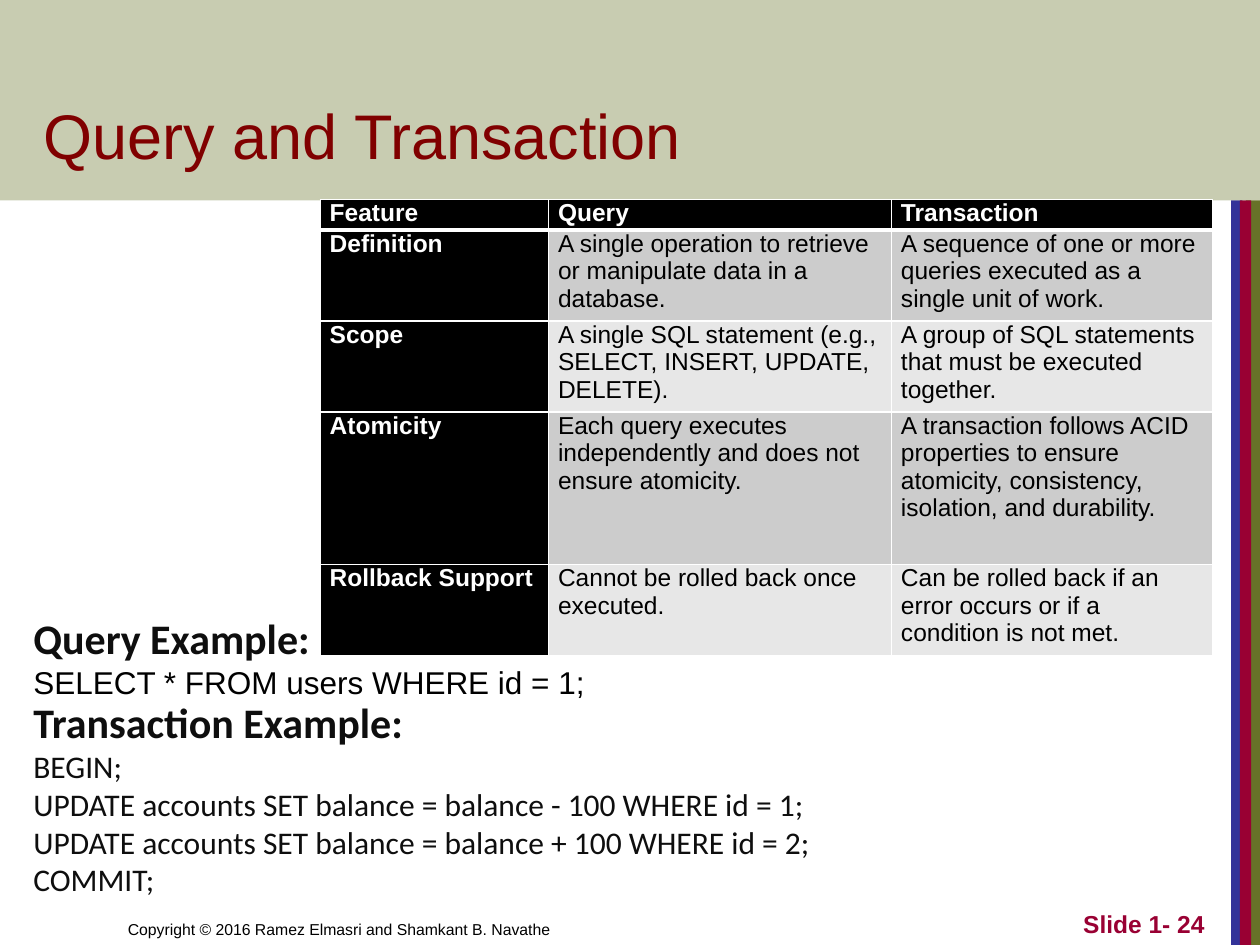
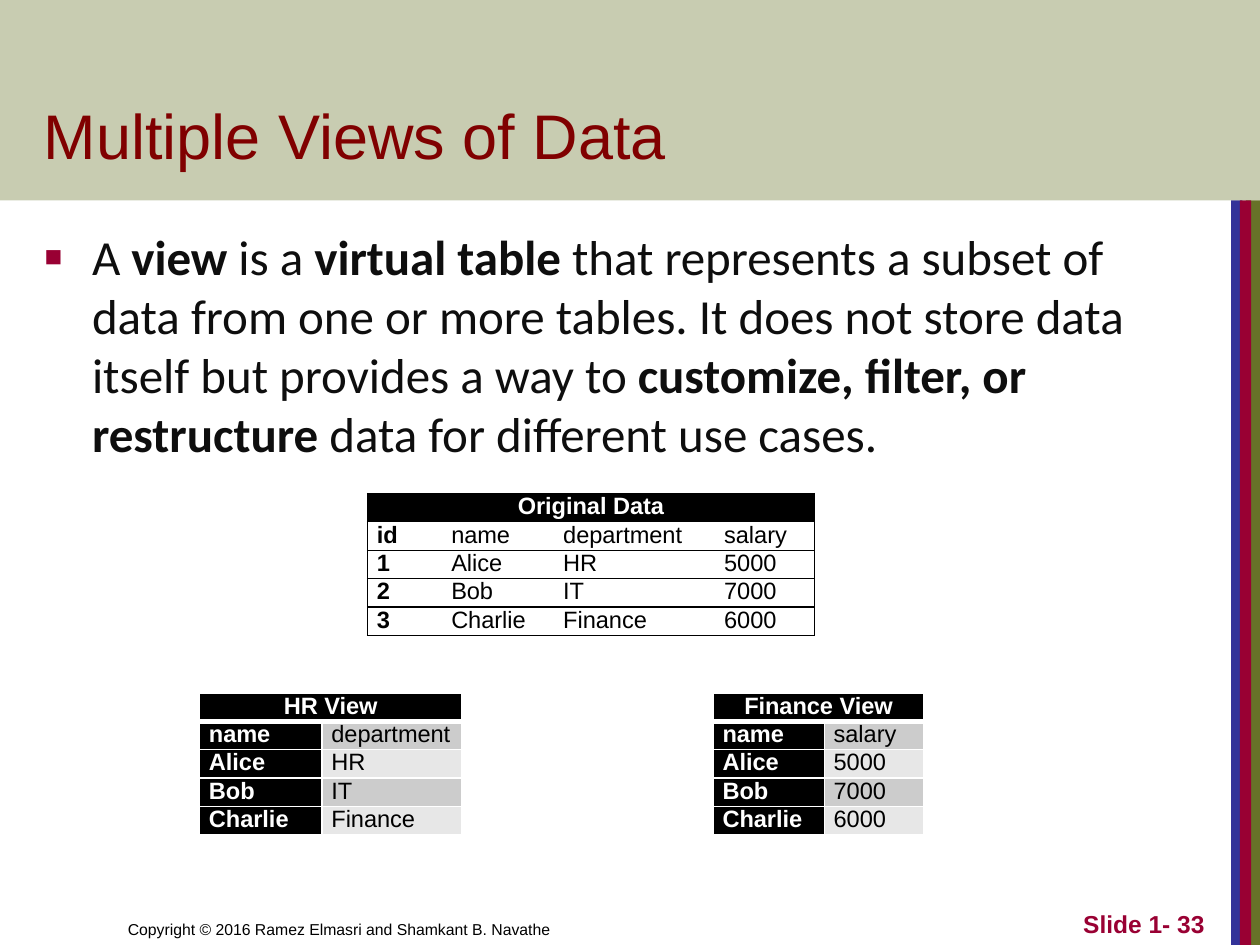
from dataclasses import dataclass
from lxml import etree
from pptx import Presentation
from pptx.dml.color import RGBColor
from pptx.enum.shapes import MSO_SHAPE
from pptx.enum.text import MSO_ANCHOR, PP_ALIGN
from pptx.oxml.ns import qn
from pptx.util import Pt

RECT = MSO_SHAPE.RECTANGLE
TOP, BOTTOM = MSO_ANCHOR.TOP, MSO_ANCHOR.BOTTOM
LEFT, MID, RIGHT = PP_ALIGN.LEFT, PP_ALIGN.CENTER, PP_ALIGN.RIGHT


@dataclass(frozen=True)
class Theme:
    olive: str = "677228"
    blue: str = "333399"
    wine: str = "990033"
    title: str = "800000"
    ink: str = "0E0E0E"
    black: str = "000000"
    white: str = "FFFFFF"
    dark: str = "CCCCCC"
    light: str = "E7E7E7"
    sans: str = "Arial"
    body: str = "Calibri"
    huge: float = 36
    large: float = 28
    head: float = 24
    text: float = 18
    cell: float = 14
    small: float = 13.5
    foot: float = 9


T = Theme()
WIDE, HIGH, BAND = 720, 540, 114.5


def add(parent, tag, **attrs):
    """Append one XML element with its attributes."""
    node = etree.SubElement(parent, qn(tag))
    for key, value in attrs.items():
        node.set(key, str(value))
    return node


def write(para, text, font=T.sans, size=T.text, color=T.black,
          bold=False, align=LEFT):
    """Fill a paragraph; pairs of ** switch bold on and off."""
    para.alignment = align
    for i, part in enumerate(text.split("**")):
        if part:
            run = para.add_run()
            run.text = part
            run.font.name = font
            run.font.size = Pt(size)
            run.font.bold = bold or i % 2 == 1
            run.font.color.rgb = RGBColor.from_string(color)


class Deck:
    def __init__(self, theme):
        self.theme = theme
        self.prs = Presentation()
        self.prs.slide_width, self.prs.slide_height = Pt(WIDE), Pt(HIGH)
        self.slide = None

    def page(self, title, number):
        """Start a slide with stripes, band, title and footers."""
        t = self.theme
        self.slide = self.prs.slides.add_slide(self.prs.slide_layouts[6])
        for x, wide, color in ((712, 8, t.olive), (703.5, 6.5, t.blue),
                               (708.5, 6.5, t.wine)):
            self.block(x, BAND, wide, HIGH - BAND, color)
        self.block(0, 0, WIDE, BAND, t.olive, alpha=36)
        self.box(66, 504, 354, 36, [
            ("Copyright © 2016 Ramez Elmasri and Shamkant B. Navathe",
             dict(size=t.foot))], anchor=BOTTOM)
        self.box(18, 24, 614, 78, [
            (title, dict(size=t.huge, color=t.title))], anchor=BOTTOM)
        self.box(546, 504, 149.5, 36, [
            (f"Slide 1- {number}",
             dict(size=t.cell, color=t.wine, bold=True, align=RIGHT))],
            anchor=BOTTOM)

    def block(self, x, y, wide, high, color, alpha=None):
        shape = self.slide.shapes.add_shape(
            RECT, Pt(x), Pt(y), Pt(wide), Pt(high))
        shape.shadow.inherit = False
        shape.fill.solid()
        shape.fill.fore_color.rgb = RGBColor.from_string(color)
        shape.line.fill.background()
        if alpha:
            tint = shape.fill._xPr.find(qn("a:solidFill"))[0]
            add(tint, "a:alpha", val=alpha * 1000)

    def box(self, x, y, wide, high, lines, anchor=TOP, bullet=False):
        """Place a text box; lines holds pairs of text and format."""
        shape = self.slide.shapes.add_textbox(
            Pt(x), Pt(y), Pt(wide), Pt(high))
        frame = shape.text_frame
        frame.word_wrap = True
        frame.vertical_anchor = anchor
        for i, (text, style) in enumerate(lines):
            para = frame.add_paragraph() if i else frame.paragraphs[0]
            if bullet:
                frame.margin_right = 0
                self.bullet(para)
            write(para, text, **style)

    def bullet(self, para):
        props = para._p.get_or_add_pPr()
        props.set("marL", str(Pt(27)))
        props.set("indent", str(-Pt(27)))
        add(add(props, "a:buClr"), "a:srgbClr", val=self.theme.wine)
        add(props, "a:buSzPct", val=60000)
        add(props, "a:buFont", typeface=self.theme.sans)
        add(props, "a:buChar", char="■")

    def edge(self, cell, side, color, width):
        """Draw one cell border, or none when the width is 0."""
        line = add(cell._tc.get_or_add_tcPr(), "a:ln" + side, w=Pt(width))
        if width:
            add(add(line, "a:solidFill"), "a:srgbClr", val=color)
        else:
            add(line, "a:noFill")

    def table(self, x, y, cols, rows, data, size, plain=False):
        """Add a table; a one-cell first row spans all columns.

        Plain tables have black rules and no fill below the header.
        """
        t = self.theme
        grid = self.slide.shapes.add_table(
            len(rows), len(cols), Pt(x), Pt(y),
            Pt(sum(cols)), Pt(sum(rows))).table
        grid.first_row = grid.horz_banding = False
        for col, wide in zip(grid.columns, cols):
            col.width = Pt(wide)
        for row, high in zip(grid.rows, rows):
            row.height = Pt(high)
        span = len(data[0]) == 1
        if span:
            grid.cell(0, 0).merge(grid.cell(0, len(cols) - 1))
        last = len(cols) - 1
        for r in range(len(rows)):
            for c in range(len(cols)):
                cell = grid.cell(r, c)
                # Borders
                if plain:
                    ends = c == 0, c == last or cell.is_merge_origin
                    sides = [0.75 * end for end in ends] + [0.75, 0.75]
                else:
                    sides = [1, 1, 3 if r == 1 else 1, 3 if r == 0 else 1]
                for side, width in zip("LRTB", sides):
                    self.edge(cell, side, t.black if plain else t.white, width)
                # Fill
                solid = r == 0 or (c == 0 and not plain)
                if plain and r:
                    cell.fill.background()
                else:
                    cell.fill.solid()
                    shade = t.black if solid else (t.light, t.dark)[r % 2]
                    cell.fill.fore_color.rgb = RGBColor.from_string(shade)
                # Text
                cell.margin_left = cell.margin_right = Pt(5.4)
                cell.margin_top = cell.margin_bottom = 0
                if not cell.is_spanned:
                    write(cell.text_frame.paragraphs[0], data[r][c], size=size,
                          color=t.white if solid else t.black,
                          bold=r == 0 or c == 0,
                          align=MID if span and r == 0 else LEFT)


def main():
    deck = Deck(T)
    head = dict(font=T.body, size=T.head, color=T.ink, bold=True)
    code = dict(font=T.body, color=T.ink)

    # Query and transaction
    deck.page("Query and Transaction", 24)
    deck.table(183, 114, [130.5, 196, 183.5], [17.5, 52, 52, 87, 52], [
        ["Feature", "Query", "Transaction"],
        ["Definition",
         "A single operation to retrieve or manipulate data in a database.",
         "A sequence of one or more queries executed as a single unit of work."],
        ["Scope",
         "A single SQL statement (e.g., SELECT, INSERT, UPDATE, DELETE).",
         "A group of SQL statements that must be executed together."],
        ["Atomicity",
         "Each query executes independently and does not ensure atomicity.",
         "A transaction follows ACID properties to ensure atomicity, "
         "consistency, isolation, and durability."],
        ["Rollback Support",
         "Cannot be rolled back once executed.",
         "Can be rolled back if an error occurs or if a condition is not met."],
    ], T.cell)
    deck.box(12, 346.5, 510, 58, [
        ("Query Example:", head),
        ("SELECT * FROM users WHERE id = 1;", {})])
    deck.box(12, 394.5, 554, 124, [("Transaction Example:", head)] + [
        (line, code) for line in (
            "BEGIN;",
            "UPDATE accounts SET balance = balance - 100 WHERE id = 1;",
            "UPDATE accounts SET balance = balance + 100 WHERE id = 2;",
            "COMMIT;")])

    # Views of one table
    deck.page("Multiple Views of Data", 33)
    deck.box(18.5, 126, 653, 360, [
        ("A **view** is a **virtual table** that represents a subset of data "
         "from one or more tables. It does not store data itself but provides "
         "a way to **customize, filter, or restructure** data for different "
         "use cases.", dict(font=T.body, size=T.large, color=T.ink))],
        bullet=True)
    staff = [["id", "name", "department", "salary"],
             ["1", "Alice", "HR", "5000"],
             ["2", "Bob", "IT", "7000"],
             ["3", "Charlie", "Finance", "6000"]]
    rows = [15] * 5
    deck.table(210, 282, [42.5, 64, 92, 57], rows,
               [["Original Data"]] + staff, T.small, plain=True)
    for title, x, cols, field in (("HR View", 114, [70, 80], 2),
                                  ("Finance View", 407.5, [63.5, 57], 3)):
        view = [[row[1], row[field]] for row in staff]
        deck.table(x, 396, cols, rows, [[title]] + view, T.small)

    deck.prs.save("out.pptx")


if __name__ == "__main__":
    main()
